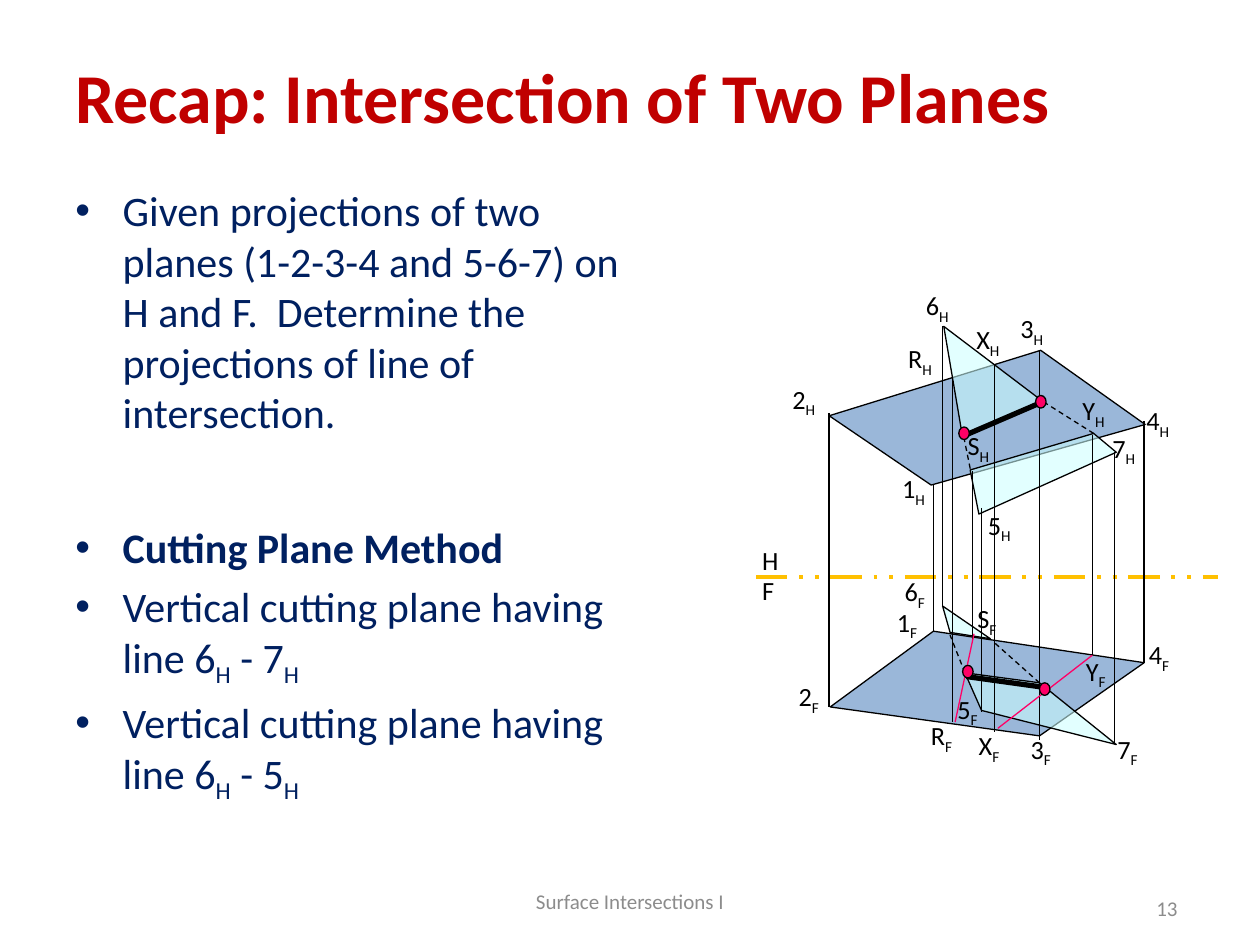
from lxml.etree import SubElement
from pptx import Presentation
from pptx.dml.color import RGBColor
from pptx.enum.dml import MSO_LINE
from pptx.enum.shapes import MSO_CONNECTOR, MSO_SHAPE
from pptx.enum.text import MSO_ANCHOR, PP_ALIGN
from pptx.oxml.ns import qn
from pptx.util import Pt

FONT = "Calibri"
RED = RGBColor(0xC0, 0x00, 0x00)
NAVY = RGBColor(0x00, 0x20, 0x60)
GREY = RGBColor(0x8C, 0x8C, 0x8C)
BLACK = RGBColor(0x00, 0x00, 0x00)
BLUE = RGBColor(0x4F, 0x81, 0xBD)
CYAN = RGBColor(0xCC, 0xFF, 0xFF)
GOLD = RGBColor(0xFF, 0xC0, 0x00)
PINK = RGBColor(0xFF, 0x00, 0x66)

# Diagram coordinates are points from the top left of the diagram box.
PLANES = [
    (BLUE, [(46, 242), (105, 198.7), (225.4, 216.7), (165.6, 258.5)]),
    (BLUE, [(45.4, 75.6), (166.3, 38.2), (226, 80.6), (103.7, 115.2)]),
    (CYAN, [(126, 106.6), (131, 131.8), (209.5, 96.5), (196.6, 85.7)]),
    (CYAN, [(110.9, 24.5), (121.7, 87.8), (167, 67)]),
    (CYAN, [(114.5, 199.4), (110.2, 184.3), (137.5, 203)]),
    (CYAN, [(123, 222.5), (132.5, 244), (209.5, 263.5), (165.6, 228.2)]),
]
HIDDEN_EDGES = [
    (126, 105.8, 122.4, 87.8), (196.6, 85.7, 165.6, 66.2),
    (123, 222.5, 114.5, 200.9), (165.6, 228.2, 139, 204.5),
]
# x, top, bottom of each vertical projector
PROJECTORS = [
    (225.4, 78.5, 216.7), (45.4, 74.2, 242), (105, 114.5, 198.7),
    (132.5, 128.2, 244.8), (110.2, 24.5, 185), (208.4, 96.5, 262.8),
    (115.9, 52.6, 250.6), (127.4, 107.3, 203), (195.8, 86.4, 212.4),
    (139.7, 46.8, 256.3), (165.6, 38.2, 260.6),
]
CUTTING_LINES = [(141.8, 254.2, 195.8, 212.4), (117.4, 250.6, 128.2, 200.2)]
INTERSECTIONS = [(123.8, 224.6, 165.6, 230.4), (123.8, 86.4, 165.6, 68.4)]
PIERCING_POINTS = [(165.6, 228.2), (121.7, 218.2), (163.4, 64), (119.5, 82)]
POINT_LABELS = {
    "H": [("1", 80, 104.4), ("2", 17.3, 53.3), ("3", 147.6, 13),
          ("4", 219.6, 65.5), ("5", 129, 125.3), ("6", 93.6, 0),
          ("7", 200.2, 81.4), ("R", 83.5, 30.2), ("S", 117.4, 80),
          ("X", 122.4, 19.4), ("Y", 183, 59.8)],
    "F": [("1", 77, 180.7), ("2", 20.9, 223.2), ("3", 153.4, 253.4),
          ("4", 221, 199.4), ("5", 111.6, 230.4), ("6", 81.4, 163.4),
          ("7", 203, 253.4), ("R", 96.5, 245.5), ("S", 123, 178.6),
          ("X", 123.8, 251.3), ("Y", 185, 208.8)],
}
LABEL_WIDTH = {"H": 28.8, "F": 26.6}


def add_runs(paragraph, parts, size, color, bold=False):
    """Write parts as runs; every second part is a subscript."""
    for index, part in enumerate(parts):
        run = paragraph.add_run()
        run.text = part
        font = run.font
        font.name, font.size, font.bold = FONT, Pt(size), bold
        font.color.rgb = color
        if index % 2:
            font._element.set("baseline", "-25000")


def add_text(slide, box, parts, size, color, bold=False, wrap=True,
             anchor=MSO_ANCHOR.MIDDLE, align=PP_ALIGN.LEFT):
    frame = slide.shapes.add_textbox(*map(Pt, box)).text_frame
    frame.word_wrap = wrap
    frame.vertical_anchor = anchor
    frame.paragraphs[0].alignment = align
    add_runs(frame.paragraphs[0], parts, size, color, bold)


def add_line(slide, origin, ends, color=BLACK, width=0.75, dash=None):
    x, y = origin
    x1, y1, x2, y2 = ends
    line = slide.shapes.add_connector(
        MSO_CONNECTOR.STRAIGHT, Pt(x + x1), Pt(y + y1), Pt(x + x2), Pt(y + y2))
    line.line.color.rgb = color
    line.line.width = Pt(width)
    if dash:
        line.line.dash_style = dash
    SubElement(line._element.spPr, qn("a:effectLst"))


def style_shape(shape, fill):
    shape.shadow.inherit = False
    shape.fill.solid()
    shape.fill.fore_color.rgb = fill
    shape.line.color.rgb = BLACK
    shape.line.width = Pt(0.75)


def add_plane(slide, origin, color, corners):
    x, y = origin
    points = [(Pt(x + dx), Pt(y + dy)) for dx, dy in corners]
    builder = slide.shapes.build_freeform(*points[0])
    builder.add_line_segments(points[1:], close=True)
    plane = builder.convert_to_shape()
    style_shape(plane, color)
    fill = plane._element.spPr.find(qn("a:solidFill"))
    SubElement(fill[0], qn("a:alpha"), val="57000")


def add_bullets(slide, box):
    line = "Vertical cutting plane having line 6"
    bullets = [
        (["Given projections of two planes (1-2-3-4 and 5-6-7) on H and F.  "
          "Determine the projections of line of intersection."], False, 0),
        (["Cutting Plane Method"], True, 48.5),
        ([line, "H", " - 7", "H"], False, 4.8),
        ([line, "H", " - 5", "H"], False, 4.8),
    ]
    frame = slide.shapes.add_textbox(*map(Pt, box)).text_frame
    frame.word_wrap = True
    for index, (parts, bold, gap) in enumerate(bullets):
        paragraph = frame.add_paragraph() if index else frame.paragraphs[0]
        properties = paragraph._p.get_or_add_pPr()
        properties.set("marL", str(Pt(27)))
        properties.set("indent", str(-Pt(27)))
        SubElement(properties, qn("a:buFont"), typeface="Arial")
        SubElement(properties, qn("a:buChar"), char="•")
        paragraph.space_before = Pt(gap)
        add_runs(paragraph, parts, 24, NAVY, bold)


def add_label(slide, origin, parts, left, top, width):
    x, y = origin
    add_text(slide, (x + left, y + top, width, 25.2), parts, 15, BLACK,
             wrap=False, anchor=MSO_ANCHOR.TOP)


def add_projection_diagram(slide, origin):
    """Draw the top (H) and front (F) views of both planes."""
    for color, corners in PLANES:
        add_plane(slide, origin, color, corners)
    for edge in HIDDEN_EDGES:
        add_line(slide, origin, edge, dash=MSO_LINE.DASH)
    add_line(slide, origin, (3.6, 167.8, 267.8, 167.8), GOLD, 2.25,
             MSO_LINE.DASH_DOT_DOT)
    for x, top, bottom in PROJECTORS:
        add_line(slide, origin, (x, top, x, bottom))
    for cut in CUTTING_LINES:
        add_line(slide, origin, cut, PINK)
    for view, labels in POINT_LABELS.items():
        for point, left, top in labels:
            add_label(slide, origin, [point, view], left, top, LABEL_WIDTH[view])
    add_label(slide, origin, ["H"], 0, 145.4, 23.8)
    add_label(slide, origin, ["F"], 0, 162.7, 21.6)
    for intersection in INTERSECTIONS:
        add_line(slide, origin, intersection, width=3)
    for left, top in PIERCING_POINTS:
        dot = slide.shapes.add_shape(
            MSO_SHAPE.OVAL, Pt(origin[0] + left), Pt(origin[1] + top),
            Pt(6), Pt(7.2))
        style_shape(dot, PINK)


def main():
    deck = Presentation()
    deck.slide_width, deck.slide_height = Pt(720), Pt(540)
    slide = deck.slides.add_slide(deck.slide_layouts[6])
    add_text(slide, (36, 21.6, 648, 65.5),
             ["Recap: Intersection of Two Planes"], 40, RED, bold=True)
    add_bullets(slide, (36, 102.2, 332.6, 396))
    add_text(slide, (246, 500.4, 228, 28.8), ["Surface Intersections I"],
             12, GREY, align=PP_ALIGN.CENTER)
    add_text(slide, (512, 504.7, 168, 28.8), ["13"], 12, GREY,
             align=PP_ALIGN.RIGHT)
    add_projection_diagram(slide, (428.4, 162))
    deck.save("out.pptx")


if __name__ == "__main__":
    main()
